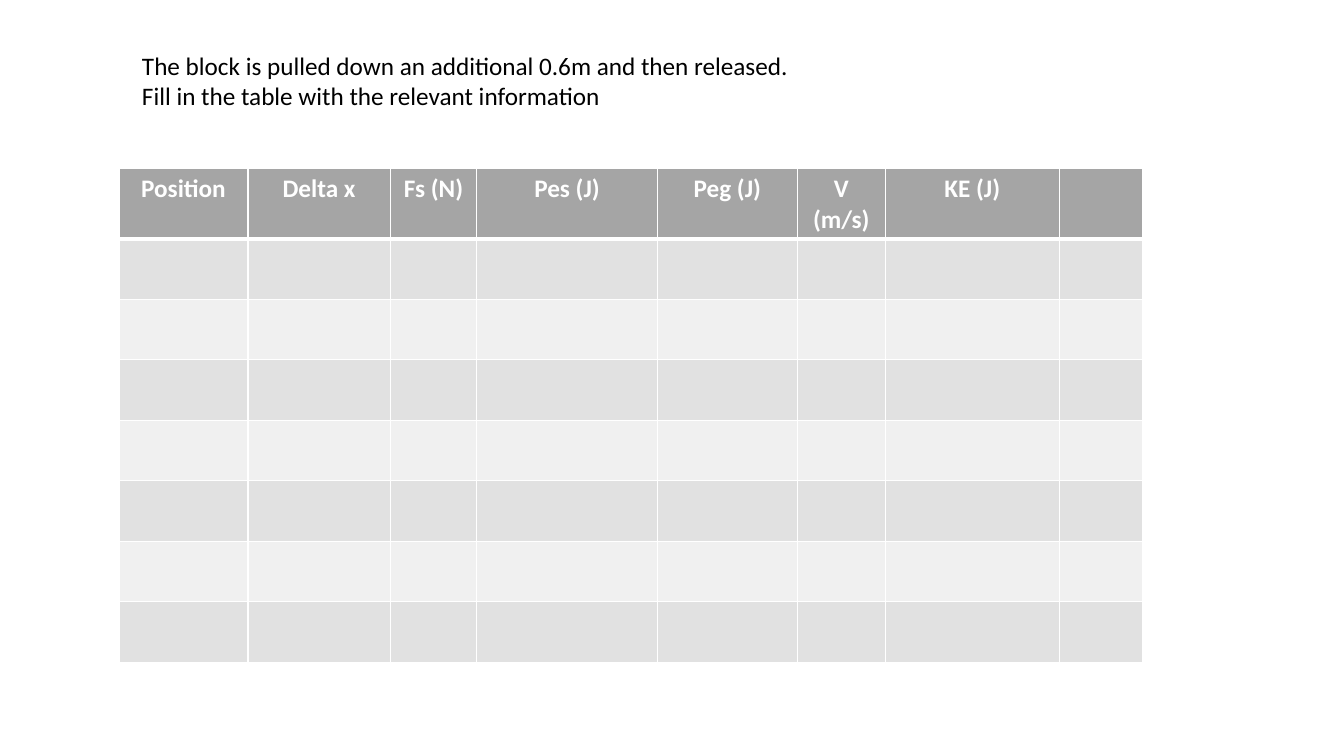
from dataclasses import dataclass

from lxml import etree
from pptx import Presentation
from pptx.dml.color import RGBColor
from pptx.enum.text import MSO_AUTO_SIZE, PP_ALIGN
from pptx.oxml.ns import qn
from pptx.util import Inches, Pt

CENTER = PP_ALIGN.CENTER
FIT_SHAPE = MSO_AUTO_SIZE.SHAPE_TO_FIT_TEXT


@dataclass(frozen=True)
class Theme:
    font: str = "Calibri"
    size: int = 18
    ink: str = "000000"
    white: str = "FFFFFF"
    header: str = "A5A5A5"
    bands: tuple = ("E1E1E1", "F0F0F0")
    rule: int = 1
    header_rule: int = 3


THEME = Theme()
INSTRUCTIONS = (
    "The block is pulled down an additional 0.6m and then released.",
    "Fill in the table with the relevant information",
)
HEADINGS = ("Position", "Delta x", "Fs (N)", "Pes (J)", "Peg (J)", "V (m/s)", "KE (J)", "")
COL_WIDTHS = (1.28, 1.41, 0.86, 1.79, 1.39, 0.87, 1.73, 0.82)
ROW_COUNT = 8
ROW_HEIGHT = 0.6


def write(p, text, color, bold=False):
    r = p.add_run()
    r.text = text
    formats = {"name": THEME.font, "size": Pt(THEME.size), "bold": bold}
    for name, value in formats.items():
        setattr(r.font, name, value)
    r.font.color.rgb = RGBColor.from_string(color)


def add_borders(cell, widths):
    tcPr = cell._tc.get_or_add_tcPr()
    for side, width in widths.items():
        ln = etree.SubElement(tcPr, qn(f"a:ln{side}"), w=str(Pt(width)))
        fill = etree.SubElement(ln, qn("a:solidFill"))
        etree.SubElement(fill, qn("a:srgbClr"), val=THEME.white)


def add_instructions(slide, left, top, width, height):
    s = slide.shapes.add_textbox(Inches(left), Inches(top), Inches(width), Inches(height))
    tf = s.text_frame
    tf.word_wrap = True
    tf.auto_size = FIT_SHAPE
    for i, line in enumerate(INSTRUCTIONS):
        p = tf.add_paragraph() if i else tf.paragraphs[0]
        write(p, line, THEME.ink)


def add_energy_table(slide, left, top):
    s = slide.shapes.add_table(
        ROW_COUNT, len(HEADINGS), Inches(left), Inches(top),
        Inches(sum(COL_WIDTHS)), Inches(ROW_COUNT * ROW_HEIGHT))
    table = s.table
    for column, width in zip(table.columns, COL_WIDTHS):
        column.width = Inches(width)

    # Banded grid with a heavier rule under the header
    for i, row in enumerate(table.rows):
        row.height = Inches(ROW_HEIGHT)
        color = THEME.bands[(i - 1) % 2] if i else THEME.header
        widths = {
            "L": THEME.rule,
            "R": THEME.rule,
            "T": THEME.header_rule if i == 1 else THEME.rule,
            "B": THEME.header_rule if i == 0 else THEME.rule,
        }
        for cell in row.cells:
            add_borders(cell, widths)
            cell.fill.solid()
            cell.fill.fore_color.rgb = RGBColor.from_string(color)

    # Column headings
    for cell, heading in zip(table.rows[0].cells, HEADINGS):
        if heading:
            p = cell.text_frame.paragraphs[0]
            p.alignment = CENTER
            write(p, heading, THEME.white, bold=True)


def main():
    prs = Presentation()
    prs.slide_width = Inches(13.33)
    prs.slide_height = Inches(7.5)
    slide = prs.slides.add_slide(prs.slide_layouts[6])
    add_instructions(slide, 1.31, 0.45, 10.22, 0.71)
    add_energy_table(slide, 1.18, 1.67)
    prs.save("out.pptx")


if __name__ == "__main__":
    main()
